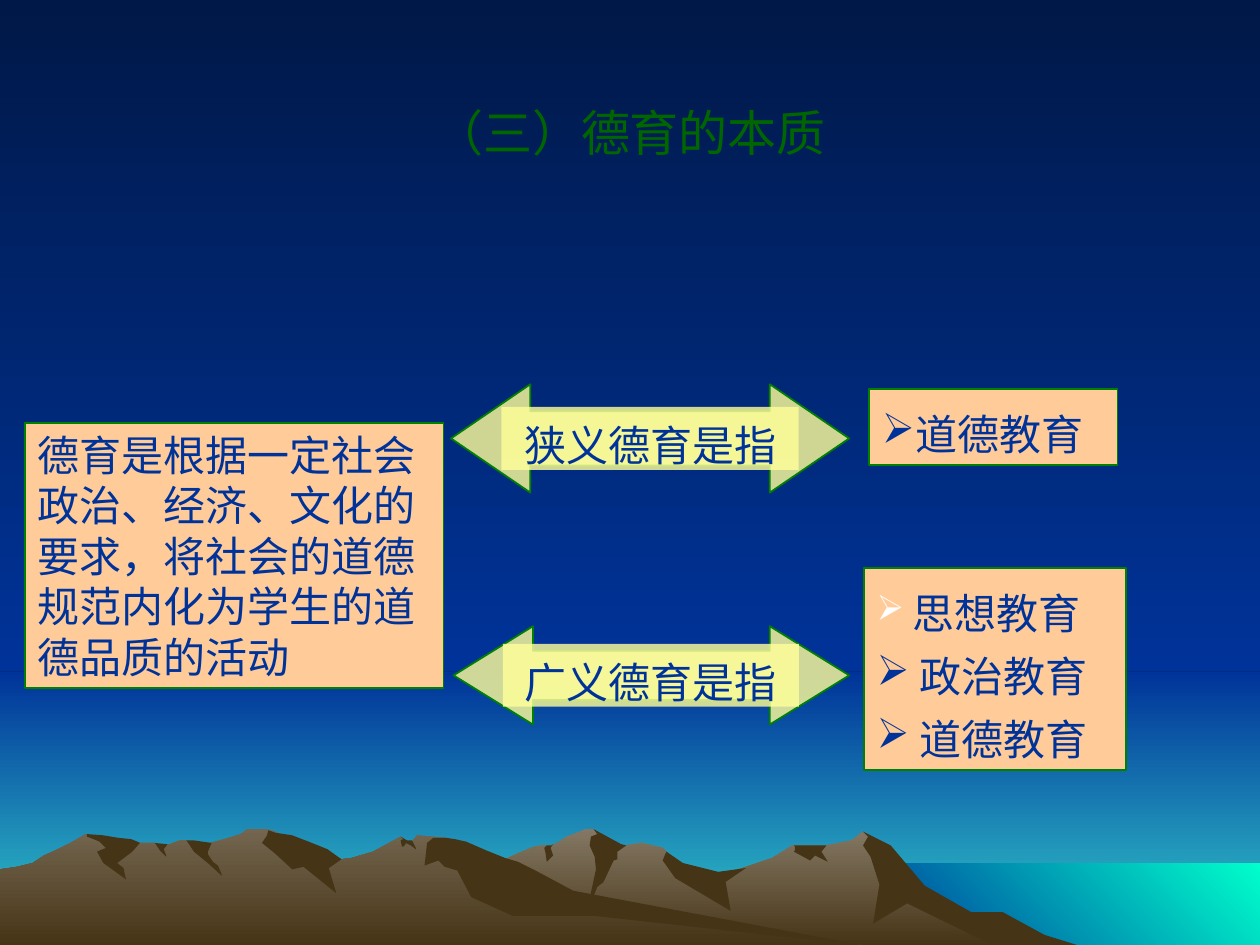
"""Build a slide on the nature of moral education above a mountain landscape."""
import pptx
import pptx.dml.color
import pptx.enum.shapes
import pptx.enum.text
import pptx.oxml.ns
import pptx.util
from lxml import etree

COLS, ROWS = 1000, 750
CELL = pptx.util.Inches(10) // COLS
SHAPE = pptx.enum.shapes.MSO_SHAPE
ALIGN = pptx.enum.text.PP_ALIGN
ANCHOR = pptx.enum.text.MSO_ANCHOR
SANS, MONO = "Noto Sans CJK SC", "Noto Sans Mono"
NAVY, BLUE, GREEN, WHITE = "001847", "003399", "008000", "FFFFFF"
PEACH, YELLOW, ROCK = "FFCC99", "FFFF99", "463416"
SKY_END, SEA_TOP = 533, 685

RIGHT_RIDGE = """802,740 778,727 764,723 723,698 702,671 685,660 676,667 656,671 629,671
613,681 566,697 536,690 529,676 526,673 509,669 497,671 486,673 474,661 471,658 465,658
450,664 444,668 438,671 430,671 424,672 412,677 399,683 394,685 355,698 327,709 277,739
258,751 821,751"""
RIGHT_SHADOWS = [
    """796,724 771,724 734,703 707,671 685,660 689,664 685,671 691,680 698,702 693,733
    720,717 792,752 858,751 829,742""",
    """471,658 474,662 469,664 468,671 472,680 473,690 465,727 474,704 479,700 487,683
    490,682 490,676 497,671 493,670""",
    "529,676 528,678 526,683 536,697 580,723 576,700 592,689 570,692 542,685",
    "650,671 630,671 631,672 631,675 630,676 643,683 647,679 657,684 652,676 656,671",
    "433,677 432,673 434,671 438,671 439,670 437,673 439,679 434,684",
]
LEFT_RIDGE = """690,751 667,748 432,712 354,665 331,663 327,668 323,668 318,664 296,676
279,681 271,682 260,676 236,681 223,663 219,660 212,658 196,658 191,662 178,666 160,671
148,667 143,667 132,671 128,671 123,669 111,669 94,671 68,662 56,669 46,674 35,679 26,685
14,688 0,690 0,751"""
LEFT_SHADOWS = [
    """212,663 208,669 219,678 232,690 241,688 267,709 261,689 271,682 260,674 245,668
    232,663 219,661 213,659""",
    """370,668 361,666 354,665 344,665 339,669 337,687 348,683 353,688 363,691 374,712
    407,727 472,727 690,751 683,750 455,707 427,692 411,684 401,681 386,675""",
    """318,667 320,666 318,664 323,667 327,667 330,673 330,674 326,671 322,669 322,670
    320,672 319,672""",
    """154,667 161,668 168,669 165,676 165,678 169,684 173,687 176,694 176,695 165,685
    154,676 148,667""",
    "133,670 130,674 132,679 132,680 127,675 123,669",
    """109,668 111,669 105,676 93,685 98,689 100,698 82,685 77,676 84,673 79,668 69,664
    69,662 82,663 94,665 104,666""",
]


def rgb(code):
    """Turn a hex string into a colour."""
    return pptx.dml.color.RGBColor.from_string(code)


def gradient(fill, start, end, angle=270):
    """Give a fill a two-stop linear gradient."""
    fill.gradient()
    fill.gradient_angle = angle
    for stop, code, position in zip(fill.gradient_stops, (start, end), (0, 1)):
        stop.color.rgb = rgb(code)
        stop.position = position


def style(sp, fill=None, line=None, alpha=None):
    """Set the fill, outline and opacity of a shape and drop its shadow."""
    sp.shadow.inherit = False
    if fill:
        sp.fill.solid()
        sp.fill.fore_color.rgb = rgb(fill)
    if alpha:
        color = sp._element.spPr.find(".//" + pptx.oxml.ns.qn("a:srgbClr"))
        etree.SubElement(color, pptx.oxml.ns.qn("a:alpha"), val=str(alpha * 1000))
    if line:
        sp.line.color.rgb = rgb(line)
        sp.line.width = pptx.util.Pt(1)
    else:
        sp.line.fill.background()


def preset(s, kind, box, **look):
    """Add a preset shape on the grid."""
    sp = s.shapes.add_shape(kind, *(n * CELL for n in box))
    style(sp, **look)
    return sp


def outline(s, points, fill=None):
    """Add a closed freeform from grid points."""
    first, *rest = [tuple(map(int, pair.split(","))) for pair in points.split()]
    builder = s.shapes.build_freeform(*first, scale=CELL)
    builder.add_line_segments(rest, close=True)
    sp = builder.convert_to_shape()
    style(sp, fill)
    return sp


def frame(sp, anchor, margins=(10, 5)):
    """Prepare the text frame of a shape."""
    tf = sp.text_frame
    tf.word_wrap = True
    tf.vertical_anchor = anchor
    tf.margin_left = tf.margin_right = margins[0] * CELL
    tf.margin_top = tf.margin_bottom = margins[1] * CELL
    return tf


def run(p, text, size=24, color=BLUE, font=SANS):
    """Add one run of text."""
    r = p.add_run()
    r.text = text
    r.font.size = pptx.util.Pt(size)
    r.font.color.rgb = rgb(color)
    r.font.name = font
    etree.SubElement(r._r.get_or_add_rPr(), pptx.oxml.ns.qn("a:ea"), typeface=font)


def bullet(p, color):
    """Give a paragraph a coloured arrow bullet."""
    pPr = p._p.get_or_add_pPr()
    holder = etree.SubElement(pPr, pptx.oxml.ns.qn("a:buClr"))
    etree.SubElement(holder, pptx.oxml.ns.qn("a:srgbClr"), val=color)
    etree.SubElement(pPr, pptx.oxml.ns.qn("a:buChar"), char="➢")


def bullet_box(s, box, items):
    """Add a peach box of bulleted lines, each a bullet colour and its runs."""
    tf = frame(preset(s, SHAPE.RECTANGLE, box, fill=PEACH, line=GREEN), ANCHOR.MIDDLE)
    for i, (color, runs) in enumerate(items):
        p = tf.add_paragraph() if i else tf.paragraphs[0]
        p.alignment = ALIGN.LEFT
        p.line_spacing = 1.25
        bullet(p, color)
        for item in runs:
            run(p, *item)


def labelled_arrow(s, arrow, label, text):
    """Add a translucent double arrow with a label band over it."""
    sp = preset(s, SHAPE.LEFT_RIGHT_ARROW, arrow, fill=YELLOW, line=GREEN, alpha=81)
    sp.adjustments[0] = 0.5
    sp.adjustments[1] = 63 / arrow[3]
    band = preset(s, SHAPE.RECTANGLE, label, fill=YELLOW, alpha=81)
    p = frame(band, ANCHOR.MIDDLE, (0, 0)).paragraphs[0]
    p.alignment = ALIGN.CENTER
    p.line_spacing = 1.25
    run(p, text, font=MONO)


def landscape(s):
    """Draw sky, sea and mountains."""
    gradient(s.background.fill, NAVY, BLUE)
    bands = [((0, SKY_END, COLS, ROWS - SKY_END), BLUE, "33CCCC", 270),
             ((0, 0, COLS, SKY_END), NAVY, BLUE, 270),
             ((683, SEA_TOP, COLS - 683, ROWS - SEA_TOP), BLUE, "00FFCC", 45)]
    for box, *colors in bands:
        gradient(preset(s, SHAPE.RECTANGLE, box).fill, *colors)
    for ridge, top, shadows in ((RIGHT_RIDGE, "847864", RIGHT_SHADOWS),
                                (LEFT_RIDGE, "73654F", LEFT_SHADOWS)):
        gradient(outline(s, ridge).fill, top, ROCK)
        for points in shadows:
            outline(s, points, ROCK)


def main():
    """Build and save the slide."""
    prs = pptx.Presentation()
    prs.slide_width, prs.slide_height = COLS * CELL, ROWS * CELL
    s = prs.slides.add_slide(prs.slide_layouts[6])
    landscape(s)
    title = s.shapes.add_textbox(*(n * CELL for n in (75, 67, 850, 75)))
    p = frame(title, ANCHOR.MIDDLE).paragraphs[0]
    p.alignment = ALIGN.CENTER
    run(p, "（三）德育的本质", 28, "006600")
    definition = preset(s, SHAPE.RECTANGLE, (20, 336, 332, 210), fill=PEACH, line=GREEN)
    p = frame(definition, ANCHOR.TOP).paragraphs[0]
    p.alignment = ALIGN.LEFT
    run(p, "德育是根据一定社会政治、经济、文化的要求，将社会的道德规范内化为学生的道德品质的活动")
    labelled_arrow(s, (358, 305, 316, 86), (398, 323, 236, 50), "狭义德育是指")
    labelled_arrow(s, (360, 497, 314, 78), (399, 511, 235, 50), "广义德育是指")
    bullet_box(s, (686, 451, 208, 160), [
        (WHITE, [(" ", 20, WHITE), ("思想教育",)]),
        (BLUE, [(" 政治教育",)]),
        (BLUE, [(" 道德教育",)])])
    bullet_box(s, (690, 309, 197, 60), [(BLUE, [("道德教育",)])])
    prs.save("out.pptx")


if __name__ == "__main__":
    main()
